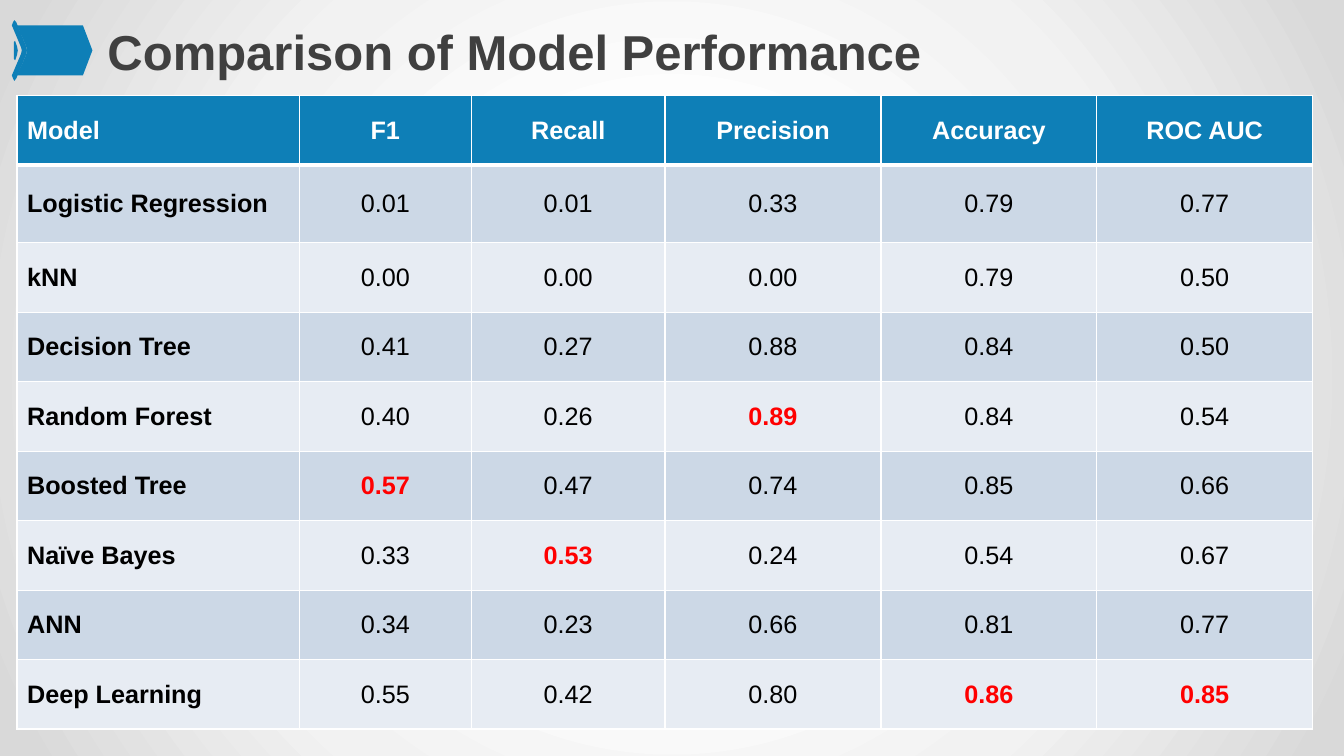
from lxml import etree
from pptx import Presentation, util as u
from pptx.dml.color import RGBColor
from pptx.enum import text
from pptx.oxml import parse_xml
from pptx.oxml.ns import nsdecls, qn

BLUE, WHITE, BLACK, RED = "0E7FB7", "FFFFFF", "000000", "FF0000"
BANDS = ["CCD8E6", "E7ECF3"]
UNITS = 100

CHEVRON_HALVES = [
    [(.25, 0), (.23, .08), (0, .63), (.03, .71), (.06, .76), (.11, .71), (.36, .1), (.38, 0)],
    [(.05, 0), (.05, .21), (.08, .24), (.09, .22), (.13, .1), (.15, 0)],
    [(.38, 0), (.36, .1), (.13, .63), (1.79, .63), (2.03, 0)],
]

HEADER = ["Model", "F1", "Recall", "Precision", "Accuracy", "ROC AUC"]
SCORES = [
    ("Logistic Regression", 0.01, 0.01, 0.33, 0.79, 0.77),
    ("kNN", 0.00, 0.00, 0.00, 0.79, 0.50),
    ("Decision Tree", 0.41, 0.27, 0.88, 0.84, 0.50),
    ("Random Forest", 0.40, 0.26, 0.89, 0.84, 0.54),
    ("Boosted Tree", 0.57, 0.47, 0.74, 0.85, 0.66),
    ("Naïve Bayes", 0.33, 0.53, 0.24, 0.54, 0.67),
    ("ANN", 0.34, 0.23, 0.66, 0.81, 0.77),
    ("Deep Learning", 0.55, 0.42, 0.80, 0.86, 0.85),
]
COL_WIDTHS = [7.11, 4.34, 4.88, 5.44, 5.44, 5.44]
ROW_HEIGHTS = [1.75, 1.96] + [1.75] * 7


def rgb(color):
    return RGBColor.from_string(color)


def write(tf, content, size=18, color=BLACK, bold=False, align=text.PP_ALIGN.LEFT):
    p = tf.paragraphs[0]
    p.alignment = align
    r = p.add_run()
    r.text = content
    r.font.name = "Arial"
    r.font.size = u.Pt(size)
    r.font.bold = bold
    r.font.color.rgb = rgb(color)


def add_background(s, stops):
    gs = "".join(f'<a:gs pos="{pos}000"><a:srgbClr val="{color}"/></a:gs>'
                 for pos, color in stops)
    s.element.cSld.insert(0, parse_xml(
        f'<p:bg {nsdecls("p", "a")}><p:bgPr><a:gradFill rotWithShape="1">'
        f'<a:gsLst>{gs}</a:gsLst><a:path path="circle">'
        '<a:fillToRect l="50000" t="50000" r="50000" b="50000"/></a:path>'
        '</a:gradFill><a:effectLst/></p:bgPr></p:bg>'))


def add_chevron(s, left, middle):
    group = s.shapes.add_group_shape()
    for half in CHEVRON_HALVES:
        mirrored = [(x, -y) for x, y in reversed(half)]
        points = [((left + x) * UNITS, (middle - y) * UNITS) for x, y in half + mirrored]
        outline = group.shapes.build_freeform(*points[0], scale=u.Cm(1) / UNITS)
        outline.add_line_segments(points[1:], close=True)
        sp = outline.convert_to_shape()
        sp.shadow.inherit = False
        sp.fill.solid()
        sp.fill.fore_color.rgb = rgb(BLUE)
        sp.line.fill.background()


def add_title(s, left, top, width, height):
    add_chevron(s, left, top + height / 2)
    indent = 2.16
    sp = s.shapes.add_textbox(u.Cm(left + indent), u.Cm(top + 0.02),
                              u.Cm(width - indent), u.Cm(height))
    tf = sp.text_frame
    tf.word_wrap = True
    tf.vertical_anchor = text.MSO_ANCHOR.MIDDLE
    write(tf, "Comparison of Model Performance", size=35, color="404040", bold=True)


def set_borders(cell, top=1, bottom=1):
    tcPr = cell._tc.get_or_add_tcPr()
    sides = [("L", 1), ("R", 1), ("T", top), ("B", bottom)]
    for i, (side, points) in enumerate(sides):
        ln = etree.Element(qn(f"a:ln{side}"), w=str(u.Pt(points)))
        fill = etree.SubElement(ln, qn("a:solidFill"))
        etree.SubElement(fill, qn("a:srgbClr"), val=WHITE)
        tcPr.insert(i, ln)


def fill_cell(cell, content, fill, align, **style):
    cell.vertical_anchor = text.MSO_ANCHOR.MIDDLE
    cell.fill.solid()
    cell.fill.fore_color.rgb = rgb(fill)
    write(cell.text_frame, content, align=align, **style)


def add_score_table(s, left, top):
    table = s.shapes.add_table(
        len(ROW_HEIGHTS), len(COL_WIDTHS), u.Cm(left), u.Cm(top),
        u.Cm(sum(COL_WIDTHS)), u.Cm(sum(ROW_HEIGHTS))).table
    for column, width in zip(table.columns, COL_WIDTHS):
        column.width = u.Cm(width)
    for row, height in zip(table.rows, ROW_HEIGHTS):
        row.height = u.Cm(height)

    for j, heading in enumerate(HEADER):
        align = text.PP_ALIGN.CENTER if j else text.PP_ALIGN.LEFT
        cell = table.cell(0, j)
        fill_cell(cell, heading, BLUE, align, color=WHITE, bold=True)
        set_borders(cell, bottom=3)
        column = [scores[j] for scores in SCORES]
        for i, value in enumerate(column):
            best = j > 0 and value == max(column)
            cell = table.cell(i + 1, j)
            fill_cell(cell, f"{value:.2f}" if j else value, BANDS[i % 2], align,
                      color=RED if best else BLACK, bold=best or j == 0)
            set_borders(cell, top=1 if i else 3)


def main():
    prs = Presentation()
    prs.slide_width, prs.slide_height = u.Cm(33.87), u.Cm(19.05)
    s = prs.slides.add_slide(prs.slide_layouts[6])
    add_background(s, [(30, WHITE), (63, "F2F2F2"), (97, "D9D9D9")])
    add_title(s, 0.3, 0.4, 32.3, 1.75)
    add_score_table(s, 0.43, 2.41)
    prs.save("out.pptx")


if __name__ == "__main__":
    main()
